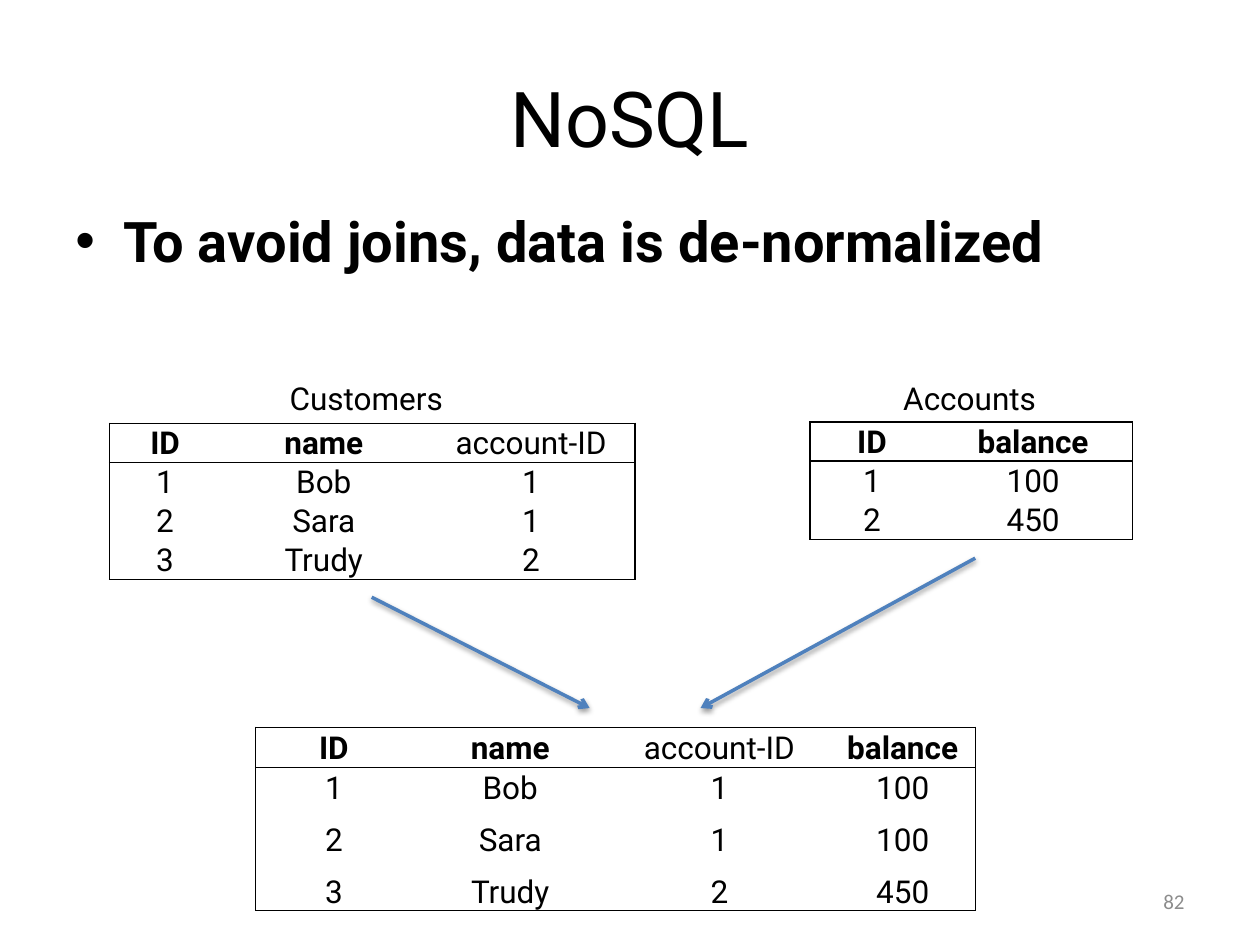
from lxml.etree import SubElement
from pptx import Presentation
from pptx.dml.color import RGBColor
from pptx.enum.shapes import MSO_CONNECTOR
from pptx.enum.text import MSO_ANCHOR as Anchor, PP_ALIGN as Align
from pptx.oxml import parse_xml
from pptx.oxml.ns import qn
from pptx.util import Inches, Pt

# Content
TITLE = "NoSQL"
BULLET = "To avoid joins, data is de-normalized"
PAGE = "82"
PLAIN_HEADING = "account-ID"
TABLES = [
    dict(at=(0.87, 3.36), columns=(0.88, 1.64, 1.65), heights=(0.31,) * 4, border=1,
         rows=[("ID", "name", "account-ID"), ("1", "Bob", "1"),
               ("2", "Sara", "1"), ("3", "Trudy", "2")]),
    dict(at=(6.43, 3.35), columns=(0.98, 1.58), heights=(0.31,) * 3, border=1,
         rows=[("ID", "balance"), ("1", "100"), ("2", "450")]),
    dict(at=(2.03, 5.77), columns=(1.24, 1.56, 1.76, 1.15),
         heights=(0.32, 0.32, 0.41, 0.41), border=0.5,
         rows=[("ID", "name", "account-ID", "balance"), ("1", "Bob", "1", "100"),
               ("2", "Sara", "1", "100"), ("3", "Trudy", "2", "450")]),
]
CAPTIONS = [("Customers", 2.2), ("Accounts", 7.07)]
ARROWS = [((2.95, 4.74), (4.68, 5.62)), ((7.74, 4.43), (5.56, 5.62))]

INK, GREY, BLUE = "000000", "8C8C8C", "4F81BD"
CELL_FORMAT = dict(vertical_anchor=Anchor.BOTTOM, margin_left=Inches(0.01),
                   margin_right=Inches(0.01), margin_top=Inches(0.01), margin_bottom=0)
SHADOW = """<a:effectLst xmlns:a="http://schemas.openxmlformats.org/drawingml/2006/main">
<a:outerShdw blurRad="40000" dist="20000" dir="5400000" rotWithShape="0">
<a:srgbClr val="000000"><a:alpha val="38000"/></a:srgbClr></a:outerShdw></a:effectLst>"""


def color(value):
    return RGBColor.from_string(value)


def write(frame, text, size, align=Align.LEFT, anchor=Anchor.TOP,
          bold=False, name="Roboto", ink=INK, bullet=None):
    frame.word_wrap = True
    frame.vertical_anchor = anchor
    paragraph = frame.paragraphs[0]
    paragraph.text = text
    paragraph.alignment = align
    if bullet:
        props = paragraph._p.get_or_add_pPr()
        props.set("marL", str(Inches(0.38)))
        props.set("indent", str(-Inches(0.38)))
        SubElement(props, qn("a:buFont"), typeface="Arial")
        SubElement(props, qn("a:buChar"), char=bullet)
    font = paragraph.runs[0].font
    for key, value in dict(size=Pt(size), bold=bold, name=name).items():
        setattr(font, key, value)
    font.color.rgb = color(ink)


def add_text(slide, box, *args, **kwargs):
    frame = slide.shapes.add_textbox(*map(Inches, box)).text_frame
    write(frame, *args, **kwargs)


def set_borders(cell, sides, width):
    props = cell._tc.get_or_add_tcPr()
    for side in "LRTB":
        line = SubElement(props, qn("a:ln" + side), w=str(Pt(width)))
        if side in sides:
            fill = SubElement(line, qn("a:solidFill"))
            SubElement(fill, qn("a:srgbClr"), val=INK)
        else:
            SubElement(line, qn("a:noFill"))


def add_table(slide, at, columns, heights, border, rows):
    box = (*at, sum(columns), sum(heights))
    table = slide.shapes.add_table(len(rows), len(columns), *map(Inches, box)).table
    table.first_row = table.horz_banding = False
    for column, width in zip(table.columns, columns):
        column.width = Inches(width)
    for r, (row, height) in enumerate(zip(rows, heights)):
        table.rows[r].height = Inches(height)
        for c, text in enumerate(row):
            cell = table.cell(r, c)
            write(cell.text_frame, text, 18, Align.CENTER,
                  bold=r == 0 and text != PLAIN_HEADING)
            for key, value in CELL_FORMAT.items():
                setattr(cell, key, value)
            # Outer frame plus a rule below the heading row
            on_edge = {"L": c == 0, "R": c == len(row) - 1, "T": r <= 1,
                       "B": r in (0, len(rows) - 1)}
            set_borders(cell, [side for side, drawn in on_edge.items() if drawn], border)
            cell.fill.background()


def add_arrow(slide, start, end):
    arrow = slide.shapes.add_connector(MSO_CONNECTOR.STRAIGHT, *map(Inches, start + end))
    arrow.line.color.rgb = color(BLUE)
    arrow.line.width = Pt(2)
    SubElement(arrow.line._get_or_add_ln(), qn("a:tailEnd"), type="arrow")
    arrow._element.spPr.append(parse_xml(SHADOW))


def main():
    deck = Presentation()
    deck.slide_width, deck.slide_height = Inches(10), Inches(7.5)
    slide = deck.slides.add_slide(deck.slide_layouts[5])

    # Title and bullet
    title = slide.shapes.title
    for key, value in dict(left=0.5, top=0.3, width=9, height=1.25).items():
        setattr(title, key, Inches(value))
    write(title.text_frame, TITLE, 44, Align.CENTER, Anchor.MIDDLE)
    add_text(slide, (0.5, 1.59, 9.81, 0.7), BULLET, 32, bold=True, bullet="•")

    # Source tables, their captions and the joined table
    for table in TABLES:
        add_table(slide, **table)
    for caption, left in CAPTIONS:
        add_text(slide, (left, 2.96, 1.65, 0.4), caption, 18)
    for start, end in ARROWS:
        add_arrow(slide, start, end)

    # Page number
    add_text(slide, (7.17, 6.95, 2.33, 0.4), PAGE, 12, Align.RIGHT, Anchor.MIDDLE,
             name="Calibri", ink=GREY)
    deck.save("out.pptx")


if __name__ == "__main__":
    main()
